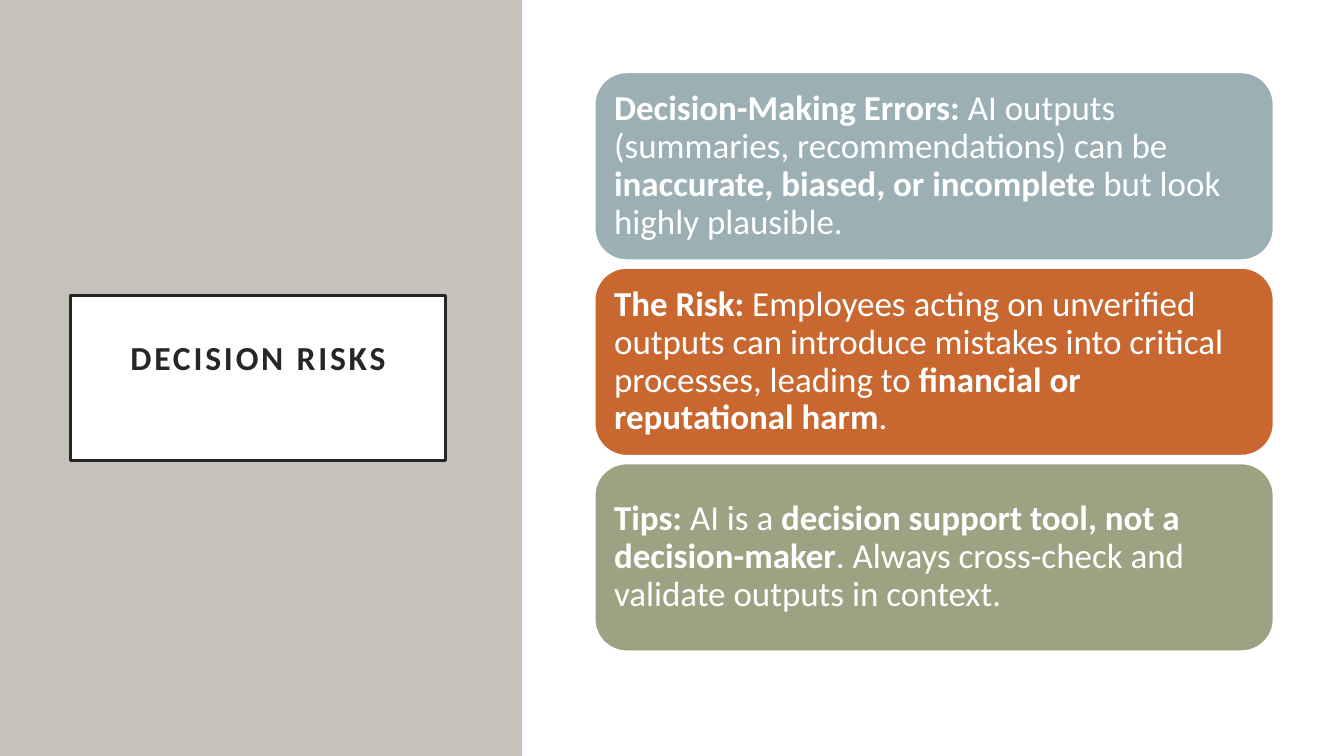
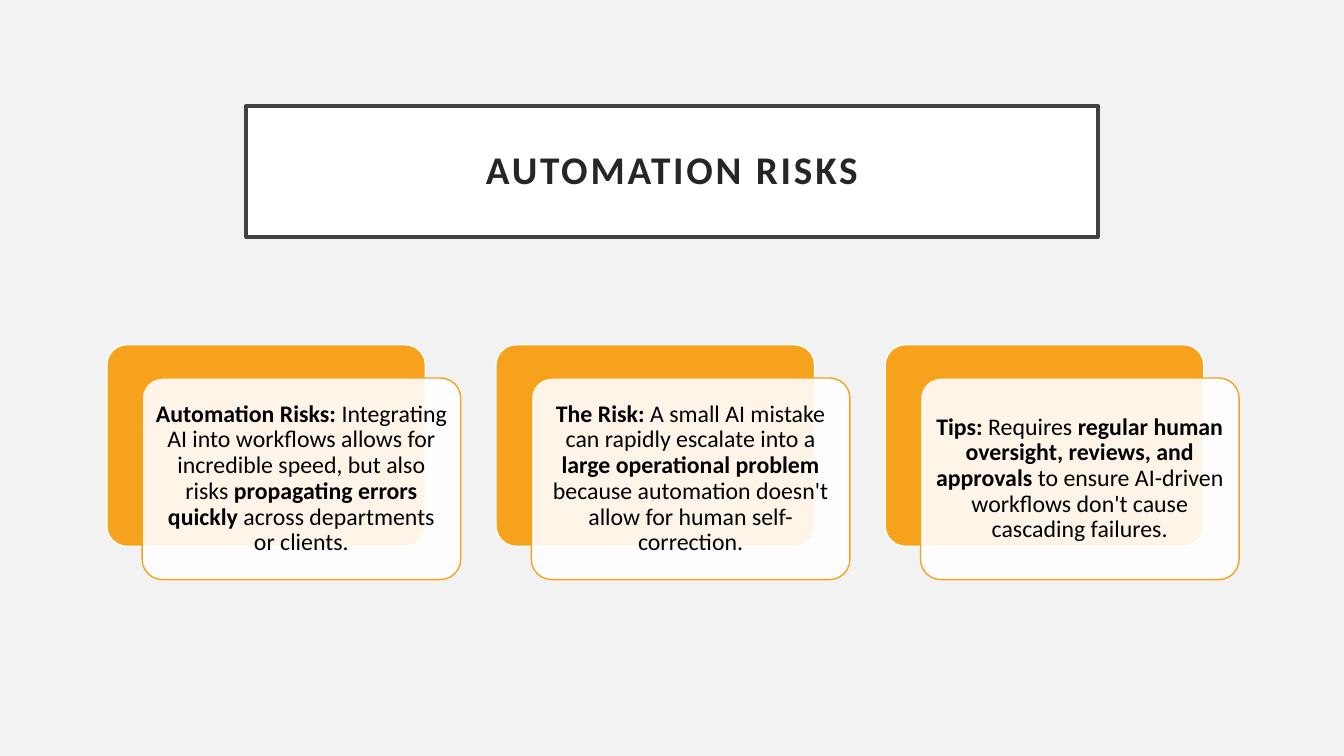
from dataclasses import dataclass

import pptx
import pptx.dml.color
import pptx.enum.shapes
import pptx.enum.text
import pptx.oxml
import pptx.oxml.ns
import pptx.util

Inches = pptx.util.Inches
Pt = pptx.util.Pt
SHAPES = pptx.enum.shapes.MSO_SHAPE
ALIGN = pptx.enum.text.PP_ALIGN

COLOURS = {
    "white": "FFFFFF",
    "pale": "F2F2F2",
    "stone": "C6C1BA",
    "ink": "262626",
    "frame": "404040",
    "black": "000000",
    "blue": "9BAFB5",
    "rust": "C96731",
    "olive": "9CA383",
    "amber": "F6A21D",
}
FONT = "Calibri"


@dataclass(frozen=True)
class Area:
    left: float
    top: float
    width: float
    height: float

    def moved(self, across: float, down: float) -> "Area":
        return Area(self.left + across, self.top + down, self.width, self.height)


@dataclass(frozen=True)
class TextStyle:
    size: float
    colour: str
    align: pptx.enum.text.PP_ALIGN
    margin: float
    tracking: float = 0
    extra_bottom: float = 0


@dataclass(frozen=True)
class Card:
    phrases: tuple[str, ...]
    colour: str


def rgb(name: str) -> pptx.dml.color.RGBColor:
    return pptx.dml.color.RGBColor.from_string(COLOURS[name])


def add_box(page, area: Area, fill: str, line: str | None = None, weight: float = 1,
            corner: float | None = None, opacity: int = 100):
    kind = SHAPES.RECTANGLE if corner is None else SHAPES.ROUNDED_RECTANGLE
    box = page.shapes.add_shape(kind, Inches(area.left), Inches(area.top),
                                Inches(area.width), Inches(area.height))
    box.shadow.inherit = False
    box.fill.solid()
    box.fill.fore_color.rgb = rgb(fill)
    if corner is not None:
        box.adjustments[0] = corner
    if opacity < 100:
        colour = box.element.spPr.find(".//" + pptx.oxml.ns.qn("a:srgbClr"))
        alpha = pptx.oxml.parse_xml(
            f'<a:alpha {pptx.oxml.ns.nsdecls("a")} val="{opacity * 1000}"/>')
        colour.append(alpha)
    if line is None:
        box.line.fill.background()
    else:
        box.line.color.rgb = rgb(line)
        box.line.width = Pt(weight)
    return box


def write_text(box, phrases: tuple[str, ...], style: TextStyle) -> None:
    frame = box.text_frame
    frame_format = {
        "word_wrap": True,
        "vertical_anchor": pptx.enum.text.MSO_ANCHOR.MIDDLE,
        "margin_left": Inches(style.margin),
        "margin_right": Inches(style.margin),
        "margin_top": Inches(style.margin),
        "margin_bottom": Inches(style.margin + style.extra_bottom),
    }
    for name, value in frame_format.items():
        setattr(frame, name, value)
    para = frame.paragraphs[0]
    for name, value in {"alignment": style.align, "line_spacing": 0.9}.items():
        setattr(para, name, value)
    for index, phrase in enumerate(phrases):
        span = para.add_run()
        span.text = phrase
        span_format = {"name": FONT, "size": Pt(style.size), "bold": index % 2 == 0}
        for name, value in span_format.items():
            setattr(span.font, name, value)
        span.font.color.rgb = rgb(style.colour)
        if style.tracking:
            span._r.get_or_add_rPr().set("spc", str(int(style.tracking * 100)))


def add_page(deck, background: str):
    page = deck.slides.add_slide(deck.slide_layouts[6])
    page.background.fill.solid()
    page.background.fill.fore_color.rgb = rgb(background)
    return page


def add_title(page, text: str, area: Area, size: float, line: str,
              extra_bottom: float = 0) -> None:
    box = add_box(page, area, "white", line, 2.5)
    write_text(box, (text,), TextStyle(size, "ink", ALIGN.CENTER, 0.2, 2, extra_bottom))


DECISION_CARDS = (
    Card(("Decision-Making Errors:",
          " AI outputs (summaries, recommendations) can be ",
          "inaccurate, biased, or incomplete",
          " but look highly plausible."), "blue"),
    Card(("The Risk:",
          " Employees acting on unverified outputs can introduce mistakes into "
          "critical processes, leading to ",
          "financial or reputational harm", "."), "rust"),
    Card(("Tips:", " AI is a ", "decision support tool, not a decision-maker",
          ". Always cross-check and validate outputs in context."), "olive"),
)

AUTOMATION_CARDS = (
    Card(("Automation Risks:",
          " Integrating AI into workflows allows for incredible speed, but also risks ",
          "propagating errors quickly",
          " across departments or clients."), "amber"),
    Card(("The Risk:", " A small AI mistake can rapidly escalate into a ",
          "large operational problem",
          " because automation doesn't allow for human self-correction."), "amber"),
    Card(("Tips:", " Requires ", "regular human oversight, reviews, and approvals",
          " to ensure AI-driven workflows don't cause cascading failures."), "amber"),
)


def build_decision_page(deck) -> None:
    page = add_page(deck, "white")
    add_box(page, Area(0, 0, 5.18, 7.5), "stone")
    add_title(page, "DECISION RISKS", Area(0.7, 2.93, 3.72, 1.64), 24, "ink", 0.36)
    first = Area(5.9, 0.72, 6.73, 1.86)
    style = TextStyle(25, "white", ALIGN.LEFT, 0.1)
    for index, card in enumerate(DECISION_CARDS):
        box = add_box(page, first.moved(0, index * 1.94), card.colour, "white",
                      corner=0.17)
        write_text(box, card.phrases, style)


def build_automation_page(deck) -> None:
    page = add_page(deck, "pale")
    add_title(page, "AUTOMATION RISKS", Area(2.44, 1.05, 8.45, 1.3), 28, "frame")
    first = Area(1.06, 3.42, 3.16, 2)
    style = TextStyle(17, "black", ALIGN.CENTER, 0.07)
    for index, card in enumerate(AUTOMATION_CARDS):
        back = first.moved(index * 3.86, 0)
        add_box(page, back, card.colour, "white", corner=0.1)
        front = add_box(page, back.moved(0.35, 0.33), "white", card.colour,
                        corner=0.1, opacity=90)
        write_text(front, card.phrases, style)


def main() -> None:
    deck = pptx.Presentation()
    deck.slide_width = Inches(13.33)
    deck.slide_height = Inches(7.5)
    build_decision_page(deck)
    build_automation_page(deck)
    deck.save("out.pptx")


if __name__ == "__main__":
    main()
